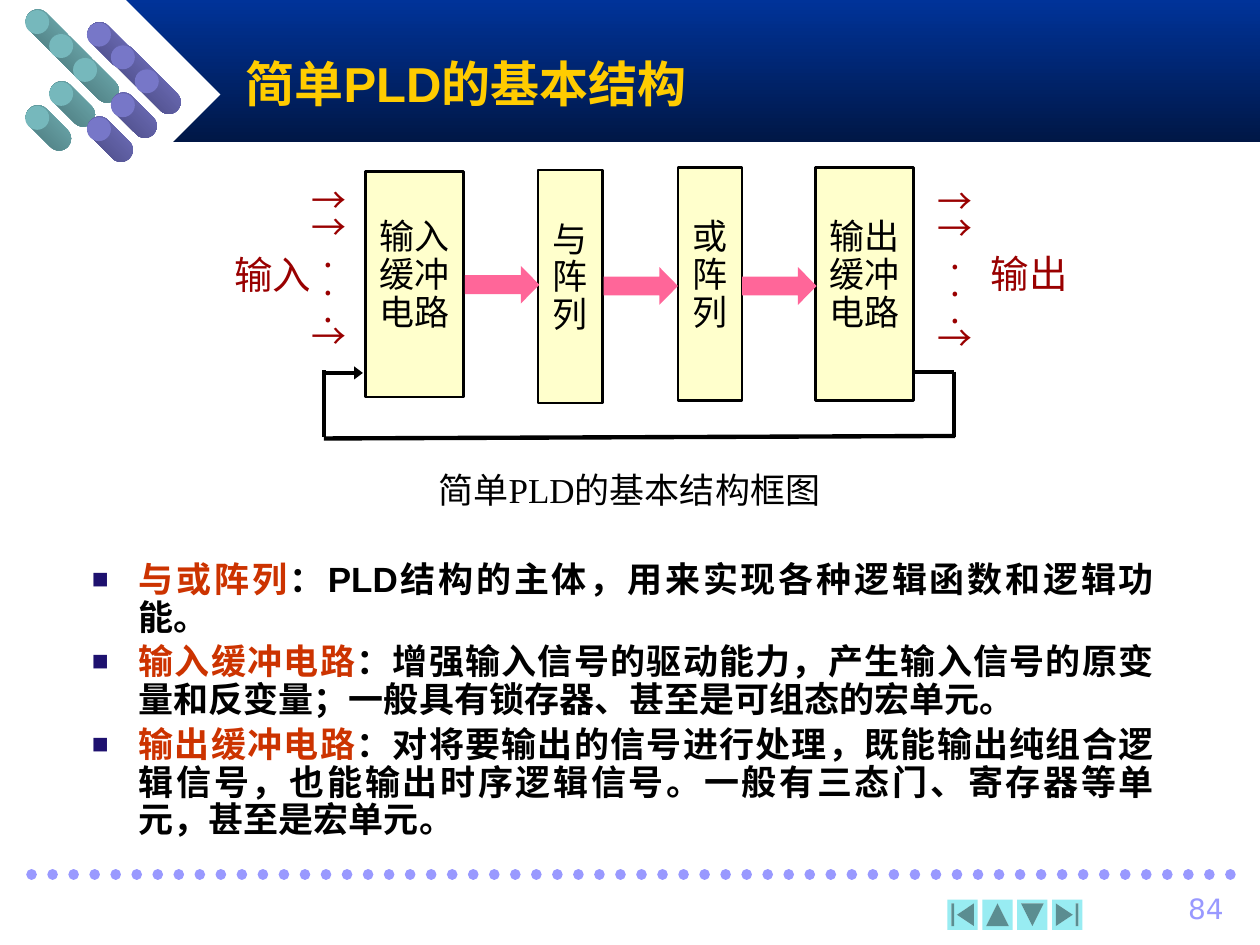
"""Build the slide on the basic structure of a simple PLD."""
from typing import NamedTuple

from lxml.etree import SubElement
from pptx import Presentation
from pptx.dml.color import RGBColor
from pptx.enum.dml import MSO_LINE
from pptx.enum.shapes import MSO_CONNECTOR, MSO_SHAPE
from pptx.enum.text import MSO_ANCHOR, MSO_AUTO_SIZE, PP_ALIGN
from pptx.oxml.ns import qn
from pptx.util import Inches, Pt

COLORS = {
    "black": "000000", "white": "FFFFFF", "navy": "003399", "night": "001746",
    "gold": "FFCC00", "cream": "FFFFCC", "pink": "FF6699", "wine": "990000",
    "orange": "CC3300", "bullet": "1E116F", "lilac": "9999FF", "aqua": "98ECF2",
    "violet": "7777C8", "violet_dark": "45457A", "teal": "76B8BC", "teal_dark": "456E72",
}
SANS = "Noto Sans CJK SC"
SERIF = "Times New Roman"


class Area(NamedTuple):
    left: float
    top: float
    width: float
    height: float


class Style(NamedTuple):
    size: float
    font: str
    color: str
    bold: bool = False


class Block(NamedTuple):
    text: str
    area: Area
    top_inset: float


class Line(NamedTuple):
    start: tuple[float, float]
    end: tuple[float, float]
    arrow: bool = False


class Point(NamedTuple):
    term: str
    detail: str


BLOCKS = [
    Block("输入缓冲 电路", Area(2.9, 1.36, 0.78, 1.79), 0.38),
    Block("与阵列", Area(4.27, 1.35, 0.51, 1.85), 0.41),
    Block("或阵列", Area(5.38, 1.33, 0.51, 1.85), 0.41),
    Block("输出缓冲 电路", Area(6.47, 1.33, 0.78, 1.85), 0.41),
]
FEEDBACK = [
    Line((7.26, 2.95), (7.57, 2.95)),
    Line((7.57, 2.95), (7.57, 3.47)),
    Line((7.58, 3.46), (2.57, 3.48)),
    Line((2.57, 3.47), (2.57, 2.94)),
    Line((2.57, 2.96), (2.88, 2.96), True),
]
POINTS = [
    Point("与或阵列", "：PLD结构的主体，用来实现各种逻辑函数和逻辑功能。"),
    Point("输入缓冲电路", "：增强输入信号的驱动能力，产生输入信号的原变量和反变量；"
          "一般具有锁存器、甚至是可组态的宏单元。"),
    Point("输出缓冲电路", "：对将要输出的信号进行处理，既能输出纯组合逻辑信号，"
          "也能输出时序逻辑信号。一般有三态门、寄存器等单元，甚至是宏单元。"),
]
BUTTONS = [
    (MSO_SHAPE.ACTION_BUTTON_BEGINNING, 0),
    (MSO_SHAPE.ACTION_BUTTON_BACK_OR_PREVIOUS, 90),
    (MSO_SHAPE.ACTION_BUTTON_FORWARD_OR_NEXT, 90),
    (MSO_SHAPE.ACTION_BUTTON_END, 0),
]


def color(name: str) -> RGBColor:
    return RGBColor.from_string(COLORS[name])


def place(shape, area: Area) -> None:
    shape.left, shape.top, shape.width, shape.height = map(Inches, area)


def style_paragraph(paragraph, style: Style, align, spacing: float = 0.9) -> None:
    paragraph.alignment = align
    paragraph.line_spacing = spacing
    for span in paragraph.runs:
        span.font.size = Pt(style.size)
        span.font.name = style.font
        span.font.bold = style.bold
        span.font.color.rgb = color(style.color)


def add_shape(page, kind, area: Area, fill: str, line: str = "", rotation: float = 0):
    shape = page.shapes.add_shape(kind, *map(Inches, area))
    shape.shadow.inherit = False
    shape.rotation = rotation
    shape.fill.solid()
    shape.fill.fore_color.rgb = color(fill)
    if line:
        shape.line.color.rgb = color(line)
        shape.line.width = Pt(1.5)
    else:
        shape.line.fill.background()
    return shape


def apply_gradient(shape, first: str, last: str) -> None:
    shape.fill.gradient()
    shape.fill.gradient_angle = 270
    for stop, name in zip(shape.fill.gradient_stops, (first, last)):
        stop.color.rgb = color(name)


def write(shape, text: str, style: Style, align=PP_ALIGN.CENTER,
          anchor=MSO_ANCHOR.TOP, spacing: float = 0.9) -> None:
    frame = shape.text_frame
    frame.word_wrap = True
    frame.auto_size = MSO_AUTO_SIZE.NONE
    frame.vertical_anchor = anchor
    frame.text = text
    for paragraph in frame.paragraphs:
        style_paragraph(paragraph, style, align, spacing)


def set_insets(shape, top: float = 0.02) -> None:
    frame = shape.text_frame
    frame.margin_left = frame.margin_right = Inches(0.03)
    frame.margin_top, frame.margin_bottom = Inches(top), Inches(0.02)


def add_text(page, text: str, area: Area, style: Style, **options):
    box = page.shapes.add_textbox(*map(Inches, area))
    write(box, text, style, **options)
    return box


def add_line(page, line: Line, name: str, width: float):
    connector = page.shapes.add_connector(
        MSO_CONNECTOR.STRAIGHT, *map(Inches, line.start + line.end))
    connector.line.color.rgb = color(name)
    connector.line.width = Pt(width)
    if line.arrow:
        SubElement(connector.line._get_or_add_ln(), qn("a:tailEnd"),
                   type="triangle", len="sm")
    SubElement(connector._element.spPr, qn("a:effectLst"))
    return connector


def add_tubes(page, left: float, tops: list[float], name: str) -> None:
    middle = len(tops) // 2
    for index, top in enumerate(tops):
        x = left + 0.19 * (middle - abs(index - middle))
        tube = add_shape(page, MSO_SHAPE.ROUNDED_RECTANGLE,
                         Area(x - 0.03, top + 0.08, 0.43, 0.19), name, rotation=45)
        tube.adjustments[0] = 0.5
        apply_gradient(tube, name, f"{name}_dark")
        add_shape(page, MSO_SHAPE.OVAL, Area(x, top, 0.19, 0.19), name)


def add_template(page) -> None:
    band = add_shape(page, MSO_SHAPE.RECTANGLE, Area(1, 0, 9, 1.13), "navy")
    apply_gradient(band, "navy", "night")
    add_shape(page, MSO_SHAPE.DIAMOND, Area(0.25, 0, 1.5, 1.5), "white")
    add_tubes(page, 0.2, [0.08, 0.27, 0.46, 0.65, 0.84], "teal")
    add_tubes(page, 0.69, [0.18, 0.36, 0.55, 0.74, 0.93], "violet")
    dots = add_line(page, Line((0.25, 6.94), (9.83, 6.94)), "lilac", 6)
    dots.line.dash_style = MSO_LINE.ROUND_DOT
    dots.line._get_or_add_ln().set("cap", "rnd")
    step = (8.35 - 7.52) / 3
    for index, (kind, rotation) in enumerate(BUTTONS):
        add_shape(page, kind, Area(7.52 + step * index, 7.14, 0.24, 0.24), "aqua",
                  rotation=rotation)
    add_text(page, "84", Area(8.86, 7.06, 0.95, 0.33), Style(16, "DejaVu Sans", "lilac"),
             align=PP_ALIGN.RIGHT)


def add_diagram(page) -> None:
    for block in BLOCKS:
        box = add_shape(page, MSO_SHAPE.RECTANGLE, block.area, "cream", "black")
        write(box, block.text, Style(20, SANS, "black"))
        set_insets(box, block.top_inset)
    for left, top in ((3.69, 2.11), (4.79, 2.12), (5.89, 2.12)):
        arrow = add_shape(page, MSO_SHAPE.RIGHT_ARROW, Area(left, top, 0.59, 0.3), "pink")
        arrow.adjustments[1] = 0.49
    for left, top in ((2.41, 1.5), (7.38, 1.51)):
        signals = add_text(page, "→\n→\n.\n.\n.\n→", Area(left, top, 0.46, 1.34),
                           Style(20, SANS, "wine"), spacing=0.65)
        set_insets(signals)
        for index in (0, -1):
            properties = signals.text_frame.paragraphs[index]._p.get_or_add_pPr()
            properties.set("marR", str(Inches(0.06)))
    label = Style(22, SERIF, "wine")
    add_text(page, "输入", Area(1.63, 1.94, 1.07, 0.47), label, anchor=MSO_ANCHOR.BOTTOM)
    set_insets(add_text(page, "输出", Area(7.72, 2.01, 0.9, 0.4), label))
    for line in FEEDBACK:
        add_line(page, line, "black", 2.5)
    add_text(page, "简单PLD的基本结构框图", Area(3.07, 3.71, 3.85, 0.43),
             Style(20, SERIF, "black"))


def add_bullet(paragraph) -> None:
    properties = paragraph._p.get_or_add_pPr()
    properties.set("marL", str(Inches(0.37)))
    properties.set("indent", str(-Inches(0.37)))
    properties.set("hangingPunct", "0")
    SubElement(SubElement(properties, qn("a:buClr")), qn("a:srgbClr"), val=COLORS["bullet"])
    SubElement(properties, qn("a:buSzPct"), val="80000")
    SubElement(properties, qn("a:buChar"), char="■")


def fill_body(body) -> None:
    place(body, Area(0.63, 4.41, 8.63, 2.32))
    write(body, "\n".join(point.term for point in POINTS), Style(20, "Arial", "orange", True))
    for index, (paragraph, point) in enumerate(zip(body.text_frame.paragraphs, POINTS)):
        add_bullet(paragraph)
        paragraph.add_run().text = point.detail
        style_paragraph(paragraph, Style(20, "Arial", "black", True), PP_ALIGN.JUSTIFY)
        paragraph.runs[0].font.color.rgb = color("orange")
        paragraph.space_before = Pt(4 if index else 0)


def main() -> None:
    deck = Presentation()
    deck.slide_width, deck.slide_height = Inches(10), Inches(7.5)
    page = deck.slides.add_slide(deck.slide_layouts[1])
    add_template(page)
    title, body = page.placeholders
    place(title, Area(1.85, 0.32, 7.01, 0.67))
    write(title, "简单PLD的基本结构", Style(28, "Arial", "gold", True),
          align=PP_ALIGN.LEFT, anchor=MSO_ANCHOR.MIDDLE, spacing=1)
    add_diagram(page)
    fill_body(body)
    for placeholder in (title, body):
        page.shapes._spTree.append(placeholder._element)
    deck.save("out.pptx")


if __name__ == "__main__":
    main()
